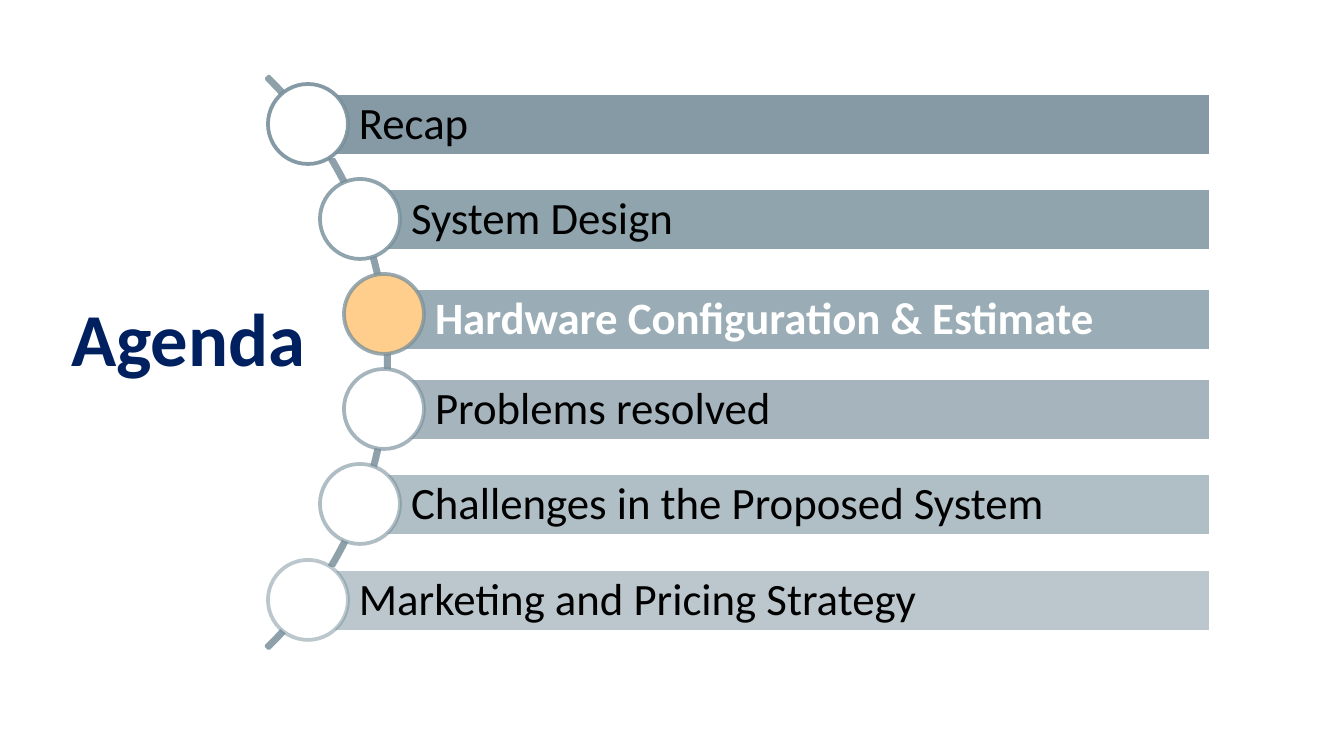
from lxml import etree
from pptx import Presentation
from pptx import util as u
from pptx.dml.color import RGBColor
from pptx.enum import shapes, text
from pptx.oxml.ns import qn

SCALE = 9144000 / 1344
WIDTH, HEIGHT = 1344, 756
FONT = "Calibri"

WHITE = RGBColor(0xFF, 0xFF, 0xFF)
BLACK = RGBColor(0x00, 0x00, 0x00)
NAVY = RGBColor(0x00, 0x20, 0x60)
SLATE = RGBColor(0x78, 0x90, 0x9C)
STEEL = RGBColor(0x8E, 0xA0, 0xA9)
PEACH = RGBColor(0xFF, 0xCD, 0x8C)

# Label and the x of the dot's centre, where the bar also begins
TOPICS = [
    ("Recap", 308),
    ("System Design", 360),
    ("Hardware Configuration & Estimate", 384),
    ("Problems resolved", 384),
    ("Challenges in the Proposed System", 360),
    ("Marketing and Pricing Strategy", 308),
]
ACTIVE = 2
FIRST, SPAN = 124, 476
RIGHT = 1211
BAR, DOT = 63, 80


def px(size):
    return u.Emu(round(size * SCALE))


def fade(node, alpha):
    """Give the colour inside a fill or line element an opacity in percent."""
    color = node.find(".//" + qn("a:srgbClr"))
    etree.SubElement(color, qn("a:alpha")).set("val", str(alpha * 1000))


def add_shape(slide, kind, box, fill, line):
    shape = slide.shapes.add_shape(kind, *map(px, box))
    shape.shadow.inherit = False
    shape.fill.solid()
    shape.fill.fore_color.rgb = fill
    shape.line.color.rgb = line
    shape.line.width = u.Pt(2)
    return shape


def set_text(frame, words, size, color, bold):
    frame.word_wrap = True
    frame.text = words
    para = frame.paragraphs[0]
    para.alignment = text.PP_ALIGN.LEFT
    font = para.runs[0].font
    font.name, font.size, font.bold = FONT, u.Pt(size), bold
    font.color.rgb = color


def add_arc(slide):
    arc = add_shape(slide, shapes.MSO_SHAPE.BLOCK_ARC,
                    (-423, -40, 812, 805), STEEL, STEEL)
    for i, value in enumerate((189, 27, 0.004)):
        arc.adjustments[i] = value


def add_bar(slide, label, left, mid, alpha, active):
    box = (left, mid - BAR // 2, RIGHT - left, BAR)
    bar = add_shape(slide, shapes.MSO_SHAPE.RECTANGLE, box, SLATE, WHITE)
    fade(bar._element.spPr.find(qn("a:solidFill")), alpha)
    frame = bar.text_frame
    frame.vertical_anchor = text.MSO_ANCHOR.MIDDLE
    frame.margin_left = px(51)
    frame.margin_top = frame.margin_right = frame.margin_bottom = px(10)
    set_text(frame, label, 24, WHITE if active else BLACK, active)
    frame.paragraphs[0].line_spacing = 0.9


def add_dot(slide, x, y, alpha, active):
    box = (x - DOT // 2, y - DOT // 2, DOT, DOT)
    dot = add_shape(slide, shapes.MSO_SHAPE.OVAL, box,
                    PEACH if active else WHITE, SLATE)
    fade(dot._element.spPr.find(qn("a:ln")), alpha)


def add_title(slide):
    box = slide.shapes.add_textbox(*map(px, (58, 285, 317, 103)))
    set_text(box.text_frame, "Agenda", 40, NAVY, True)


def main():
    deck = Presentation()
    deck.slide_width, deck.slide_height = px(WIDTH), px(HEIGHT)
    slide = deck.slides.add_slide(deck.slide_layouts[6])
    add_arc(slide)
    for i, (label, left) in enumerate(TOPICS):
        mid = FIRST + i * SPAN // (len(TOPICS) - 1)
        alpha = 90 - 8 * i
        active = i == ACTIVE
        # The active bar sits slightly below its dot's centre
        add_bar(slide, label, left, mid + 5 * active, alpha, active)
        add_dot(slide, left, mid, alpha, active)
    add_title(slide)
    deck.save("out.pptx")


if __name__ == "__main__":
    main()
